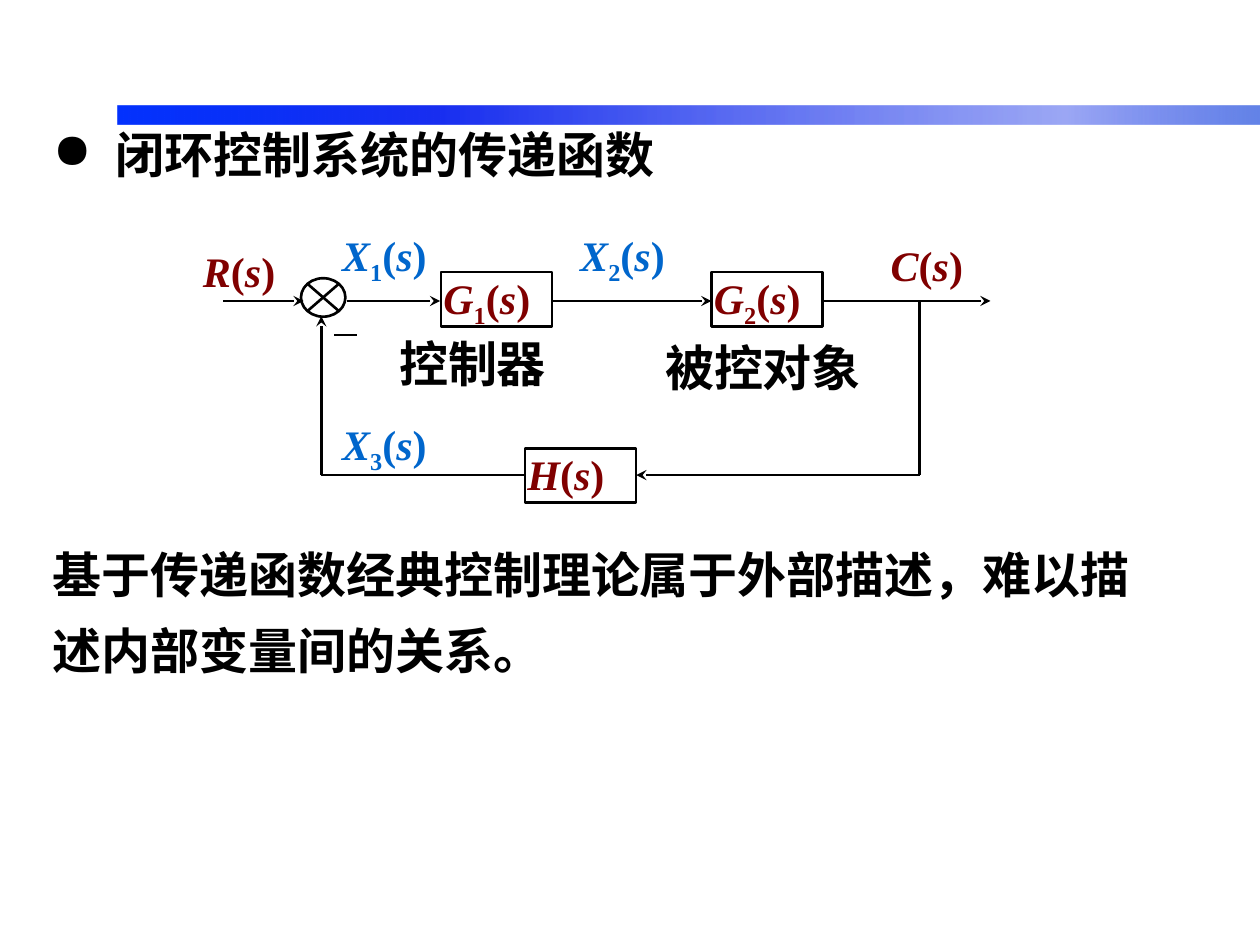
from lxml import etree
from pptx import Presentation
from pptx.dml.color import RGBColor
from pptx.enum.shapes import MSO_CONNECTOR, MSO_SHAPE
from pptx.enum.text import MSO_ANCHOR, MSO_AUTO_SIZE, PP_ALIGN
from pptx.oxml.ns import qn
from pptx.util import Pt

STRAIGHT = MSO_CONNECTOR.STRAIGHT
RECTANGLE = MSO_SHAPE.RECTANGLE
JUNCTION = MSO_SHAPE.FLOWCHART_SUMMING_JUNCTION
TOP = MSO_ANCHOR.TOP
LEFT = PP_ALIGN.LEFT
NO_FIT = MSO_AUTO_SIZE.NONE

BLACK, MAROON, BLUE = "000000", "800000", "0066CC"
CHINESE, LATIN, SANS = "Noto Sans CJK SC", "Times New Roman", "DejaVu Sans"

HEADING = "闭环控制系统的传递函数"
SUMMARY = "基于传递函数经典控制理论属于外部描述，难以描述内部变量间的关系。"
CAPTIONS = [("控制器", 221, 187.2, 99.4), ("被控对象", 373, 189.4, 127.5)]

BAND = (67, 60.5, 653, 10.5)
BAND_STOPS = [(0, "0432FE", 100), (10, "0931F9", 100), (28, "192FF1", 100),
              (83, "3A52EB", 50), (100, "6484E8", 100)]

BLOCK_SIZE = (63.4, 31)
BLOCKS = [("G", "1", 252, 155.5), ("G", "2", 406.5, 155.5), ("H", "", 300, 256.3)]
SIGNALS = [("R", "", MAROON, 116, 140.4), ("C", "", MAROON, 509, 136.8),
           ("X", "1", BLUE, 195.5, 131), ("X", "2", BLUE, 331.6, 131),
           ("X", "3", BLUE, 195.5, 239)]
SIGNAL_SIZE = (55, 34.5)
SUMMING_POINT = (172, 159, 25.4, 22)

FORWARD, FEEDBACK = 172, 271.5
SUM_X, TAP_X = 183.6, 525.6
WIRES = [
    (127.5, FORWARD, 173.5, FORWARD, True),
    (198, FORWARD, 251.5, FORWARD, True),
    (315, FORWARD, 406.5, FORWARD, True),
    (470, FORWARD, 566, FORWARD, True),
    (TAP_X, FORWARD, TAP_X, FEEDBACK, False),
    (TAP_X, FEEDBACK, 363.6, FEEDBACK, True),
    (300, FEEDBACK, SUM_X, FEEDBACK, False),
    (SUM_X, FEEDBACK, SUM_X, 180.7, True),
    (191, 191.4, 204, 191.4, False),
]


def color(hex_text):
    return RGBColor.from_string(hex_text)


def points(values):
    return [Pt(value) for value in values]


def assign(target, values):
    for name, value in values.items():
        setattr(target, name, value)


def add_span(para, text, font, size, hex_text, italic=False, baseline=0):
    span = para.add_run()
    span.text = text
    assign(span.font, {"name": font, "size": Pt(size), "bold": True, "italic": italic})
    span.font.color.rgb = color(hex_text)
    properties = span.font._element
    etree.SubElement(properties, qn("a:ea"), typeface=font)
    if baseline:
        properties.set("baseline", str(baseline))


def set_frame(box, margins, wrap):
    frame = box.text_frame
    sides = ("margin_left", "margin_top", "margin_right", "margin_bottom")
    assign(frame, dict(zip(sides, points(margins))))
    assign(frame, {"word_wrap": wrap, "vertical_anchor": TOP, "auto_size": NO_FIT})
    para = frame.paragraphs[0]
    para.alignment = LEFT
    return para


def add_formula(para, letter, index, hex_text):
    parts = [(letter, True, 0), (index, False, -25000), ("(", False, 0),
             ("s", True, 0), (")", False, 0)]
    for text, italic, baseline in parts:
        if text:
            add_span(para, text, LATIN, 24, hex_text, italic, baseline)


def outline(shape):
    shape.shadow.inherit = False
    shape.fill.background()
    shape.line.color.rgb = color(BLACK)
    shape.line.width = Pt(1.5)


def add_wire(page, x1, y1, x2, y2, arrow):
    wire = page.shapes.add_connector(STRAIGHT, *points((x1, y1, x2, y2)))
    wire.line.color.rgb = color(BLACK)
    wire.line.width = Pt(1.5)
    if arrow:
        etree.SubElement(wire.line._get_or_add_ln(), qn("a:tailEnd"), type="stealth")
    etree.SubElement(wire._element.spPr, qn("a:effectLst"))


def add_band(page):
    band = page.shapes.add_shape(RECTANGLE, *points(BAND))
    band.shadow.inherit = False
    band.line.fill.background()
    band.fill.gradient()
    band.fill.gradient_angle = 0
    stops = band._element.spPr.find(qn("a:gradFill")).find(qn("a:gsLst"))
    for stop in list(stops):
        stops.remove(stop)
    for position, hex_text, opacity in BAND_STOPS:
        stop = etree.SubElement(stops, qn("a:gs"), pos=str(position * 1000))
        tint = etree.SubElement(stop, qn("a:srgbClr"), val=hex_text)
        if opacity < 100:
            etree.SubElement(tint, qn("a:alpha"), val=str(opacity * 1000))


def fill_placeholder(holder, place, text, indent, bullet):
    assign(holder, dict(zip(("left", "top", "width", "height"), points(place))))
    para = set_frame(holder, (7.2, 3.6, 7.2, 3.6), True)
    add_span(para, text, CHINESE, 28, BLACK)
    properties = para._element.get_or_add_pPr()
    properties.set("marL", str(Pt(indent)))
    properties.set("indent", str(-Pt(indent)))
    if bullet:
        etree.SubElement(properties, qn("a:buChar"), char=bullet)
    else:
        etree.SubElement(properties, qn("a:buNone"))
    return para


def main():
    deck = Presentation()
    deck.slide_width, deck.slide_height = Pt(720), Pt(540)
    page = deck.slides.add_slide(deck.slide_layouts[1])
    add_band(page)

    fill_placeholder(page.shapes.title, (23, 67.7, 362, 41), HEADING, 36, "●")
    summary = fill_placeholder(page.placeholders[1], (23, 297.4, 655, 108.7), SUMMARY, 0, "")
    assign(summary, {"line_spacing": 1.3, "space_before": Pt(5.6)})

    for wire in WIRES:
        add_wire(page, *wire)
    for letter, index, left, top in BLOCKS:
        block = page.shapes.add_shape(RECTANGLE, *points((left, top, *BLOCK_SIZE)))
        outline(block)
        add_formula(set_frame(block, (1.4, 0, 1.4, 0.7), True), letter, index, MAROON)
    for letter, index, hex_text, left, top in SIGNALS:
        box = page.shapes.add_textbox(*points((left, top, *SIGNAL_SIZE)))
        add_formula(set_frame(box, (0, 0, 0, 0), True), letter, index, hex_text)
    outline(page.shapes.add_shape(JUNCTION, *points(SUMMING_POINT)))
    for text, left, top, width in CAPTIONS:
        box = page.shapes.add_textbox(*points((left, top, width, 41)))
        add_span(set_frame(box, (7.2, 3.6, 7.2, 3.6), False), text, SANS, 28, BLACK)

    deck.save("out.pptx")


if __name__ == "__main__":
    main()
